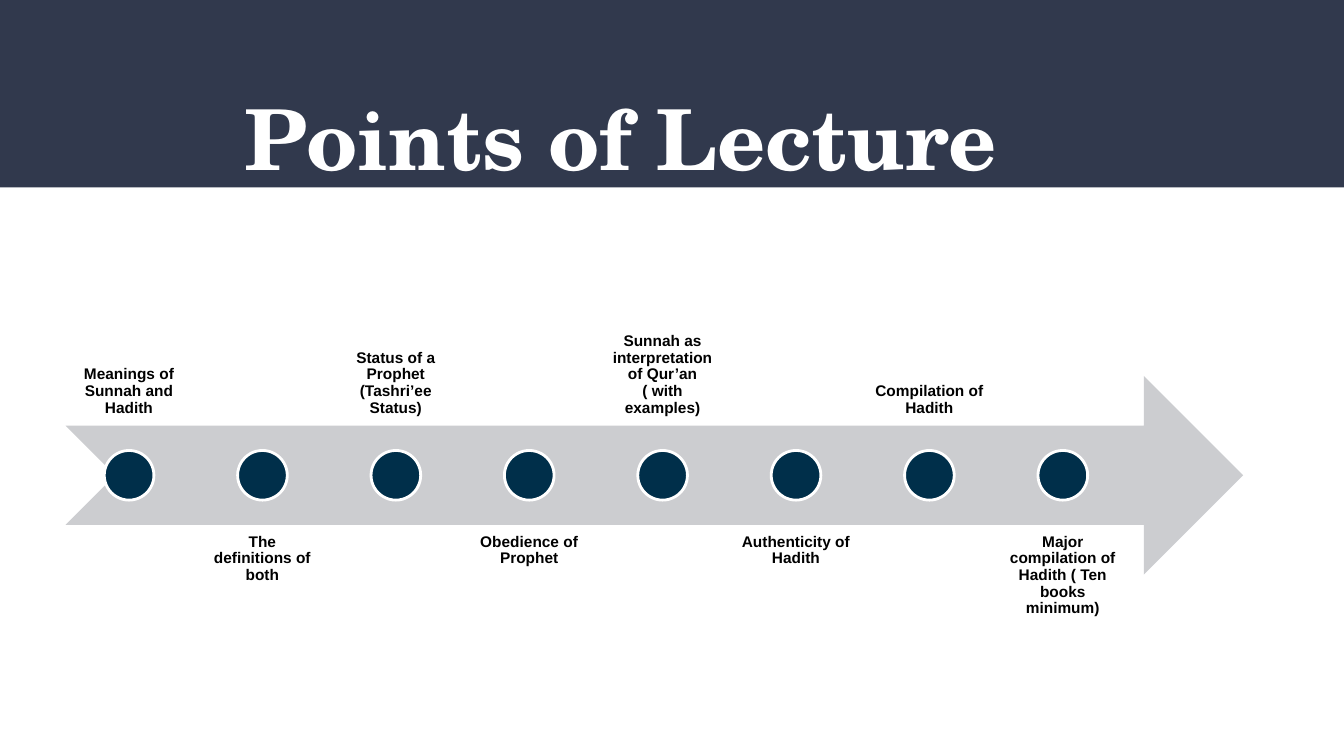
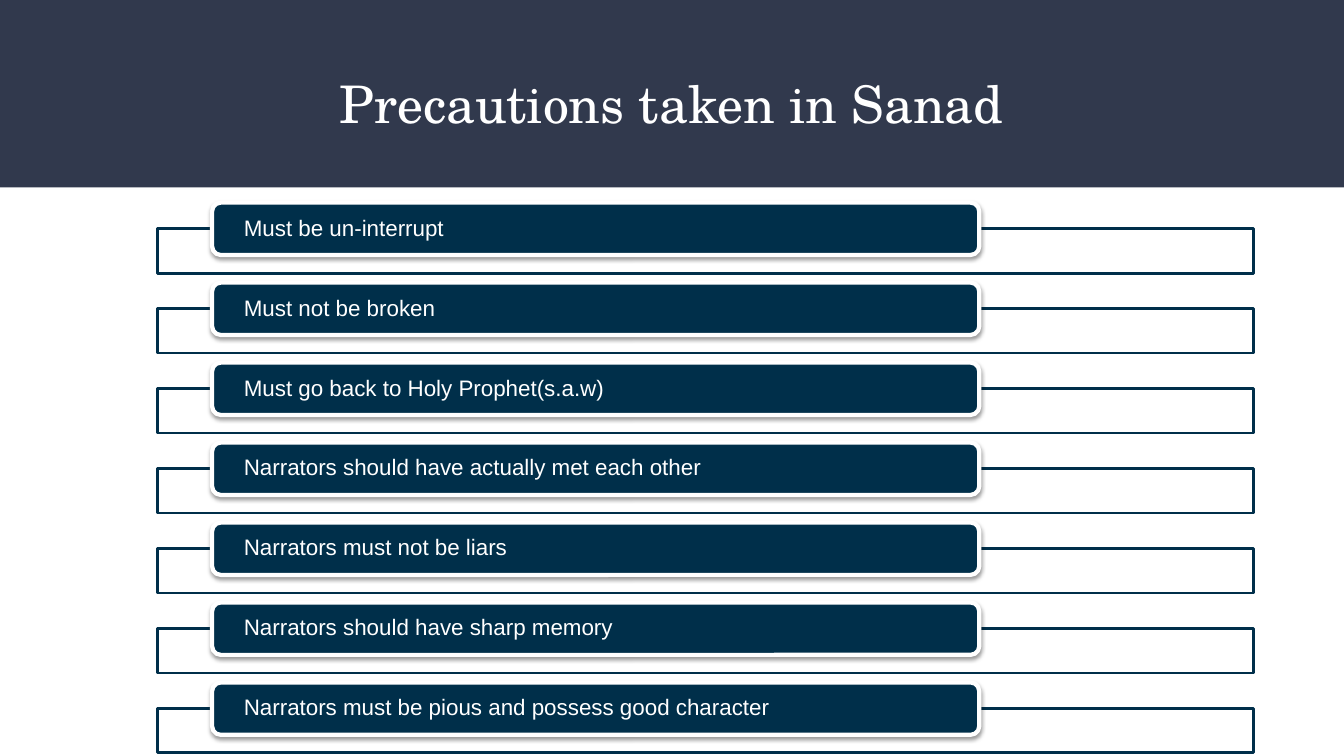
import pptx
import pptx.util
import pptx.dml.color
import pptx.enum.shapes
import pptx.enum.text
import pptx.oxml
import pptx.oxml.ns

Inches = pptx.util.Inches
SHAPE = pptx.enum.shapes.MSO_SHAPE
ALIGN = pptx.enum.text.PP_ALIGN
ANCHOR = pptx.enum.text.MSO_ANCHOR

BAND, NAVY, GREY, WHITE, BLACK = "31394D", "002F4A", "CCCDD0", "FFFFFF", "000000"
TITLE_FONT, BODY_FONT = "TeX Gyre Schola", "Arial"
SLIDE_W, SLIDE_H = 13.33, 7.5

POINTS = [
    "Meanings of Sunnah and Hadith",
    "The definitions of both",
    "Status of a Prophet (Tashri’ee Status)",
    "Obedience of Prophet",
    "Sunnah as interpretation of Qur’an ( with examples)",
    "Authenticity of Hadith",
    "Compilation of Hadith",
    "Major compilation of Hadith ( Ten books minimum)",
]
PRECAUTIONS = [
    "Must be un-interrupt",
    "Must not be broken",
    "Must go back to Holy Prophet(s.a.w)",
    "Narrators should have actually met each other",
    "Narrators must not be liars",
    "Narrators should have sharp memory",
    "Narrators must be pious and possess good character",
]


def rgb(color):
    return pptx.dml.color.RGBColor.from_string(color)


def add_shape(s, kind, x, y, w, h, fill, line=None, width=2):
    sp = s.shapes.add_shape(kind, Inches(x), Inches(y), Inches(w), Inches(h))
    sp.shadow.inherit = False
    sp.fill.solid()
    sp.fill.fore_color.rgb = rgb(fill)
    if line:
        sp.line.color.rgb = rgb(line)
        sp.line.width = pptx.util.Pt(width)
    else:
        sp.line.fill.background()
    return sp


def add_drop_shadow(sp):
    shadow = pptx.oxml.parse_xml(
        f'<a:outerShdw {pptx.oxml.ns.nsdecls("a")} blurRad="39370" dist="20320"'
        f' dir="5400000" rotWithShape="0"><a:srgbClr val="{BLACK}">'
        '<a:alpha val="38000"/></a:srgbClr></a:outerShdw>')
    sp._element.spPr.find(pptx.oxml.ns.qn("a:effectLst")).append(shadow)


def set_text(sp, text, size, color, font=BODY_FONT, bold=False, align=ALIGN.LEFT,
             anchor=ANCHOR.TOP, margins=(0.09, 0.09), spacing=0.9):
    """Fill a shape with one paragraph; margins are (sides, top and bottom)."""
    tf = sp.text_frame
    tf.word_wrap = True
    tf.vertical_anchor = anchor
    tf.margin_left = tf.margin_right = Inches(margins[0])
    tf.margin_top = tf.margin_bottom = Inches(margins[1])
    p = tf.paragraphs[0]
    p.text = text
    p.alignment = align
    p.line_spacing = spacing
    r = p.runs[0]
    r.font.name = font
    r.font.size = pptx.util.Pt(size)
    r.font.bold = bold
    r.font.color.rgb = rgb(color)


def add_text(s, x, y, w, h, text, size, color, **style):
    sp = s.shapes.add_textbox(Inches(x), Inches(y), Inches(w), Inches(h))
    set_text(sp, text, size, color, **style)


def add_titled_slide(prs, title, size, **style):
    s = prs.slides.add_slide(prs.slide_layouts[6])
    add_shape(s, SHAPE.RECTANGLE, 0, 0, SLIDE_W, 1.86, BAND)
    add_text(s, 0.45, 0.73, 12.42, 0.91, title, size, WHITE, font=TITLE_FONT, **style)
    return s


def add_timeline(s, x, y, w, h, labels):
    """Arrow in the given box, with labels alternately above and below it."""
    add_shape(s, SHAPE.NOTCHED_RIGHT_ARROW, x, y, w, h, GREY)
    label_w, dot = 1.26, h / 4
    pitch = label_w * 1.05
    for i, label in enumerate(labels):
        left = x + i * pitch
        above = i % 2 == 0
        add_text(s, left, y - h * 0.75 if above else y + h * 0.75, label_w, h,
                 label, 11, BLACK, bold=True, align=ALIGN.CENTER,
                 anchor=ANCHOR.BOTTOM if above else ANCHOR.TOP)
        add_shape(s, SHAPE.OVAL, left + (label_w - dot) / 2, y + (h - dot) / 2,
                  dot, dot, NAVY, WHITE)


def add_pill_list(s, x, y, w, h, items):
    """Outlined rows spread over the box, each with a pill on its top edge."""
    row_h, pill_h = 0.44, 0.52
    pitch = (h - row_h) / (len(items) - 1)
    for i, item in enumerate(items):
        top = y + i * pitch
        add_shape(s, SHAPE.RECTANGLE, x, top, w, row_h, WHITE, NAVY)
        pill = add_shape(s, SHAPE.ROUNDED_RECTANGLE, x + w * 0.05, top - pill_h / 2,
                         w * 0.7, pill_h, NAVY, WHITE, 3)
        add_drop_shadow(pill)
        set_text(pill, item, 16, WHITE, anchor=ANCHOR.MIDDLE, margins=(0.29, 0))


def main():
    prs = pptx.Presentation()
    prs.slide_width, prs.slide_height = Inches(SLIDE_W), Inches(SLIDE_H)

    # Timeline of the lecture
    s = add_titled_slide(prs, "Points of Lecture", 60, bold=True,
                         margins=(1.98, 0.13), spacing=1.0)
    add_timeline(s, 0.65, 3.73, 11.68, 1.97, POINTS)

    # List of precautions
    s = add_titled_slide(prs, "Precautions taken in Sanad", 37,
                         align=ALIGN.CENTER, margins=(0.1, 0.05))
    add_pill_list(s, 1.56, 2.27, 10.87, 5.2, PRECAUTIONS)

    prs.save("out.pptx")


if __name__ == "__main__":
    main()
